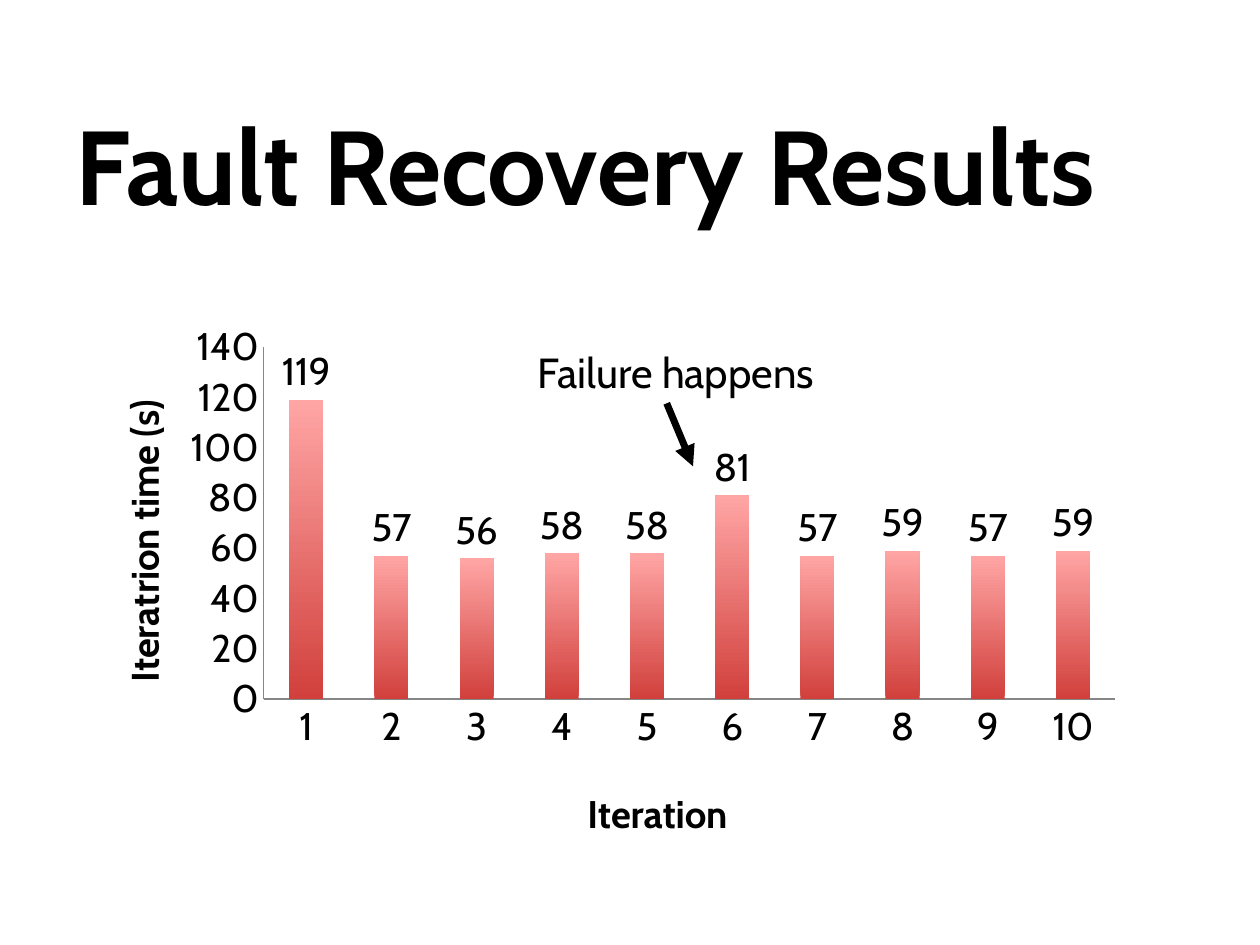
from dataclasses import dataclass

from lxml.etree import SubElement
from pptx import Presentation
from pptx.chart.data import CategoryChartData
from pptx.dml.color import RGBColor
from pptx.enum.chart import XL_CHART_TYPE, XL_LABEL_POSITION, XL_TICK_MARK
from pptx.enum.shapes import MSO_CONNECTOR
from pptx.enum.text import MSO_ANCHOR, MSO_AUTO_SIZE, PP_ALIGN
from pptx.oxml import parse_xml
from pptx.oxml.ns import nsdecls, qn
from pptx.util import Cm, Pt


@dataclass(frozen=True)
class Theme:
    font: str = "Cabin"
    ink: RGBColor = RGBColor(0x00, 0x00, 0x00)
    axis: RGBColor = RGBColor(0x86, 0x86, 0x86)
    bar_base: RGBColor = RGBColor(0xD1, 0x40, 0x3C)
    bar_top: RGBColor = RGBColor(0xFF, 0xA6, 0xA5)
    title: Pt = Pt(60)
    note: Pt = Pt(24)
    chart: Pt = Pt(22)
    arrow: Pt = Pt(4)
    hairline: Pt = Pt(0.75)


def set_layout(element, index, **fractions):
    for old in element.findall(qn("c:layout")):
        element.remove(old)
    layout = parse_xml(f"<c:layout {nsdecls('c')}/>")
    manual = SubElement(layout, qn("c:manualLayout"))
    if "w" in fractions:
        SubElement(manual, qn("c:layoutTarget")).set("val", "inner")
    for mode in ("xMode", "yMode"):
        SubElement(manual, qn(f"c:{mode}")).set("val", "edge")
    for name, value in fractions.items():
        SubElement(manual, qn(f"c:{name}")).set("val", str(value))
    element.insert(index, layout)


class SlideBuilder:
    def __init__(self, s, theme):
        self.s = s
        self.theme = theme

    def style(self, font, size, bold=False):
        font.name = self.theme.font
        font.size = size
        font.bold = bold
        font.color.rgb = self.theme.ink

    def add_text(self, tf, text, size, bold=False):
        p = tf.paragraphs[0]
        p.alignment = PP_ALIGN.LEFT
        r = p.add_run()
        r.text = text
        self.style(r.font, size, bold)

    def title(self, text, left, top, width, height):
        sp = self.s.shapes.title
        sp.left, sp.top, sp.width, sp.height = left, top, width, height
        sp.text_frame.vertical_anchor = MSO_ANCHOR.MIDDLE
        self.add_text(sp.text_frame, text, self.theme.title, True)

    def note(self, text, left, top, width, height):
        tf = self.s.shapes.add_textbox(left, top, width, height).text_frame
        tf.word_wrap = False
        tf.auto_size = MSO_AUTO_SIZE.SHAPE_TO_FIT_TEXT
        self.add_text(tf, text, self.theme.note)

    def arrow(self, x1, y1, x2, y2):
        cx = self.s.shapes.add_connector(MSO_CONNECTOR.STRAIGHT, x1, y1, x2, y2)
        cx.line.color.rgb = self.theme.ink
        cx.line.width = self.theme.arrow
        sp_pr = cx._element.spPr
        SubElement(sp_pr.find(qn("a:ln")), qn("a:tailEnd")).set("type", "triangle")
        SubElement(sp_pr, qn("a:effectLst"))

    def axis(self, axis, title, x, y):
        axis.has_major_gridlines = False
        axis.major_tick_mark = axis.minor_tick_mark = XL_TICK_MARK.NONE
        axis.format.line.color.rgb = self.theme.axis
        axis.format.line.width = self.theme.hairline
        self.style(axis.tick_labels.font, self.theme.chart)
        r = axis.axis_title.text_frame.paragraphs[0].add_run()
        r.text = title
        self.style(r.font, self.theme.chart, True)
        set_layout(axis.axis_title._element, 1, x=x, y=y)

    def column_chart(self, values, left, top, width, height):
        data = CategoryChartData(number_format="#,##0")
        data.categories = [str(i) for i in range(1, len(values) + 1)]
        data.add_series("Series 1", values)
        chart = self.s.shapes.add_chart(
            XL_CHART_TYPE.COLUMN_CLUSTERED, left, top, width, height, data
        ).chart
        chart.has_legend = False
        chart.has_title = False
        self.style(chart.font, self.theme.chart)
        self.axis(chart.category_axis, "Iteration", 0.47, 0.86)
        self.axis(chart.value_axis, "Iteratrion time (s)", 0.04, 0.19)
        chart.value_axis.minimum_scale = 0
        chart.value_axis.maximum_scale = 140
        chart.value_axis.major_unit = 20
        set_layout(chart._chartSpace.chart.plotArea, 0, x=0.18, y=0.11, w=0.78, h=0.61)

        plot = chart.plots[0]
        plot.vary_by_categories = False
        plot.gap_width = 150
        fill = plot.series[0].format.fill
        fill.gradient()
        fill.gradient_angle = 90
        for stop, color in zip(fill.gradient_stops, (self.theme.bar_base, self.theme.bar_top)):
            stop.color.rgb = color
        plot.has_data_labels = True
        labels = plot.data_labels
        labels.show_value = True
        labels.number_format = "#,##0"
        labels.number_format_is_linked = False
        labels.position = XL_LABEL_POSITION.OUTSIDE_END
        self.style(labels.font, self.theme.chart)


def main():
    prs = Presentation()
    prs.slide_width, prs.slide_height = Cm(25.4), Cm(19.05)
    b = SlideBuilder(prs.slides.add_slide(prs.slide_layouts[5]), Theme())
    b.title("Fault Recovery Results", Cm(1.27), Cm(1.7), Cm(22.86), Cm(3.18))
    b.column_chart(
        (119, 57, 56, 58, 58, 81, 57, 59, 57, 59),
        Cm(1.35), Cm(5.72), Cm(22.02), Cm(11.63),
    )
    b.arrow(Cm(13.44), Cm(8.13), Cm(13.97), Cm(9.4))
    b.note("Failure happens", Cm(10.59), Cm(6.86), Cm(6.1), Cm(1.27))
    prs.save("out.pptx")


if __name__ == "__main__":
    main()
